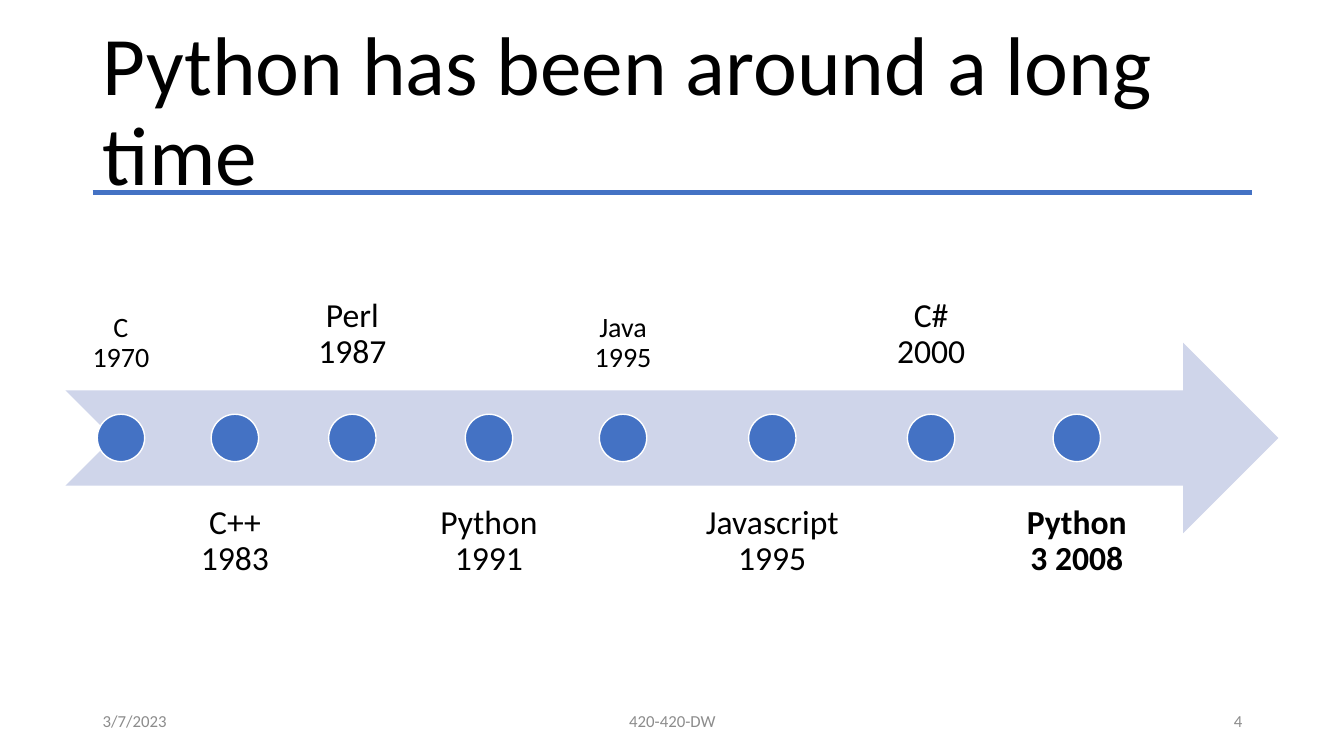
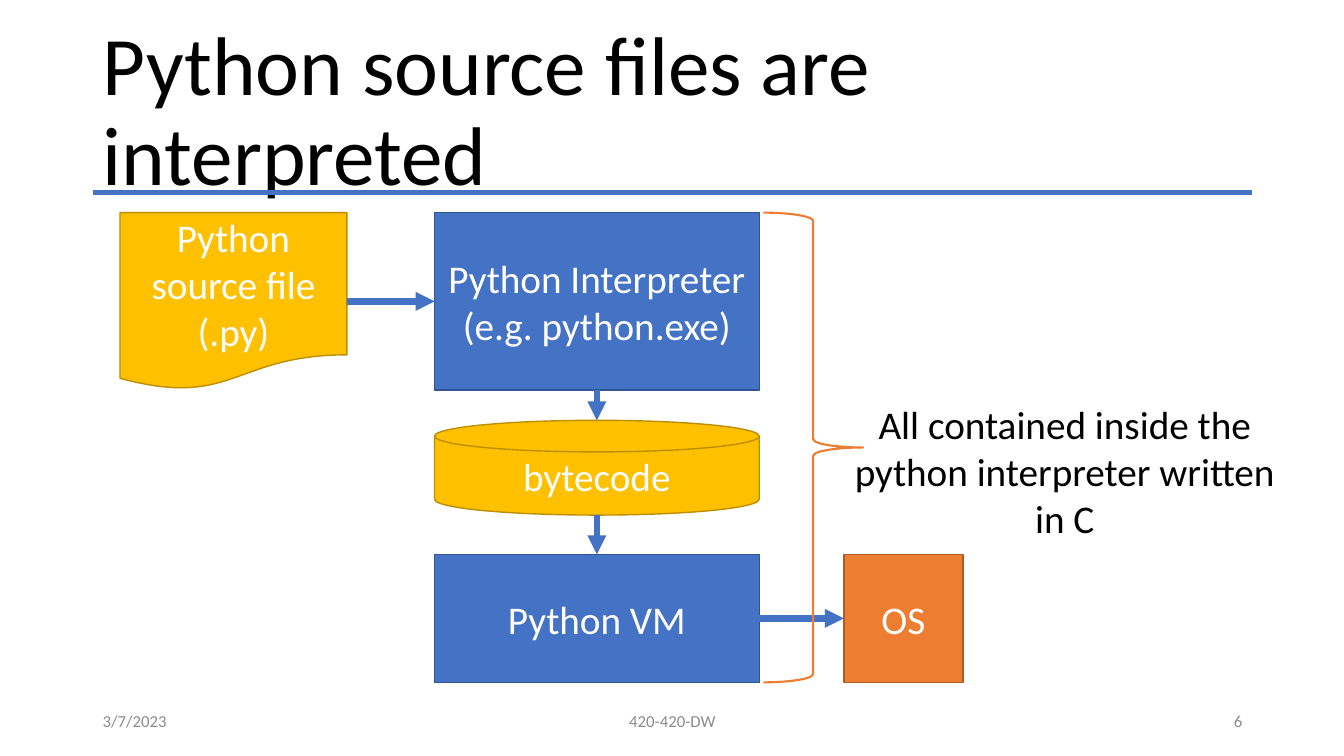
import dataclasses
import lxml.etree
import pptx
import pptx.dml.color
import pptx.enum.shapes
import pptx.enum.text
import pptx.oxml.ns
import pptx.util

Inches = pptx.util.Inches
Pt = pptx.util.Pt
Form = pptx.enum.shapes.MSO_SHAPE
Align = pptx.enum.text.PP_ALIGN
Anchor = pptx.enum.text.MSO_ANCHOR
qn = pptx.oxml.ns.qn

TOP, LEFT, BOTTOM, RIGHT = range(4)


@dataclasses.dataclass(frozen=True)
class Theme:
    font: str = "Calibri"
    black: str = "000000"
    white: str = "FFFFFF"
    gray: str = "8C8C8C"
    blue: str = "4472C4"
    navy: str = "325491"
    pale: str = "CFD5EA"
    gold: str = "FFC000"
    ochre: str = "BD8E00"
    orange: str = "ED7D31"
    rust: str = "AF5C24"
    title: float = 59.4
    body: float = 28
    label: float = 24
    small: float = 20
    foot: float = 12


def paint(text):
    return pptx.dml.color.RGBColor.from_string(text)


class Deck:
    def __init__(self, theme):
        self.theme = theme
        self.file = pptx.Presentation()
        self.file.slide_width = Inches(13.33)
        self.file.slide_height = Inches(7.5)
        self.slide = None

    def start(self, title, page):
        theme = self.theme
        self.slide = self.file.slides.add_slide(self.file.slide_layouts[5])
        self.line((0.92, 1.91), (12.42, 1.91), 3)
        head = self.slide.shapes.title
        head.left, head.top, head.width, head.height = map(Inches, (0.92, 0.4, 11.5, 1.45))
        self.letter(head, title, theme.title, theme.black, Align.LEFT, Anchor.MIDDLE, space=0.9)
        for text, left, width, align in (
            ("3/7/2023", 0.92, 3, Align.LEFT),
            ("420-420-DW", 4.42, 4.5, Align.CENTER),
            (page, 9.42, 3, Align.RIGHT),
        ):
            self.text(text, (left, 6.95, width, 0.4), theme.foot, theme.gray, align, Anchor.MIDDLE)

    def letter(self, shape, text, size, color, align=Align.CENTER,
               anchor=Anchor.TOP, space=None, inset=None, bold=False):
        frame = shape.text_frame
        frame.auto_size = pptx.enum.text.MSO_AUTO_SIZE.NONE
        frame.word_wrap = True
        frame.vertical_anchor = anchor
        if inset is not None:
            frame.margin_left = frame.margin_right = Inches(inset)
            frame.margin_top = frame.margin_bottom = Inches(inset)
        para = frame.paragraphs[0]
        para.alignment = align
        para.line_spacing = space
        for row, part in enumerate(text.split("\n")):
            if row:
                para.add_line_break()
            run = para.add_run()
            run.text = part
            run.font.name = self.theme.font
            run.font.size = Pt(size)
            run.font.bold = bold
            run.font.color.rgb = paint(color)

    def text(self, text, box, size, color, *style, **more):
        shape = self.slide.shapes.add_textbox(*map(Inches, box))
        self.letter(shape, text, size, color, *style, **more)

    def shape(self, form, box, fill=None, edge=None, weight=1, text=None):
        shape = self.slide.shapes.add_shape(form, *map(Inches, box))
        shape.shadow.inherit = False
        if fill:
            shape.fill.solid()
            shape.fill.fore_color.rgb = paint(fill)
        else:
            shape.fill.background()
        if edge:
            shape.line.color.rgb = paint(edge)
            shape.line.width = Pt(weight)
        else:
            shape.line.fill.background()
        if text:
            self.letter(shape, text, self.theme.body, self.theme.white, anchor=Anchor.MIDDLE)
        return shape

    def line(self, start, end, weight):
        line = self.slide.shapes.add_connector(
            pptx.enum.shapes.MSO_CONNECTOR.STRAIGHT, *map(Inches, start + end))
        line.line.color.rgb = paint(self.theme.blue)
        line.line.width = Pt(weight)
        lxml.etree.SubElement(line.element.spPr, qn("a:effectLst"))
        return line

    def arrow(self, start, end, tail=None, head=None):
        line = self.line(start, end, 4.5)
        tip = lxml.etree.SubElement(line.element.spPr.find(qn("a:ln")), qn("a:tailEnd"))
        tip.set("type", "triangle")
        if tail:
            line.begin_connect(*tail)
        if head:
            line.end_connect(*head)


def history(deck):
    theme = deck.theme
    deck.start("Python has been around a long time", "4")
    deck.shape(Form.NOTCHED_RIGHT_ARROW, (0.65, 3.4, 12.03, 1.89), theme.pale)
    events = (
        ("C 1970", 1.06, theme.small),
        ("C++ 1983", 1.12, theme.label),
        ("Perl 1987", 1.13, theme.label),
        ("Python 1991", 1.5, theme.label),
        ("Java 1995", 1.08, theme.small),
        ("Javascript 1995", 1.8, theme.label),
        ("C# 2000", 1.27, theme.label),
        ("Python 3 2008", 1.54, theme.label),
    )
    left, gap, dot = 0.67, 0.04, 0.47
    for place, (text, width, size) in enumerate(events):
        top, anchor = ((1.98, Anchor.BOTTOM), (4.82, Anchor.TOP))[place % 2]
        deck.text(text, (left, top, width, 1.89), size, theme.black, anchor=anchor,
                  space=0.9, inset=size / 125, bold=place == len(events) - 1)
        deck.shape(Form.OVAL, (left + (width - dot) / 2, 4.11, dot, dot), theme.blue, theme.white)
        left += width + gap


def process(deck):
    theme = deck.theme
    deck.start("Python source files are interpreted", "6")
    gold = theme.gold, theme.ochre
    blue = theme.blue, theme.navy
    left, width, top = 4.31, 3.22, 2.11
    mid = left + width / 2
    source = deck.shape(Form.FLOWCHART_DOCUMENT, (1.19, top, 2.25, 1.76), *gold,
                        text="Python source file (.py)")
    reader = deck.shape(Form.FLOWCHART_PROCESS, (left, top, width, 1.76), *blue,
                        text="Python Interpreter\n(e.g. python.exe)")
    deck.shape(Form.FLOWCHART_MAGNETIC_DISK, (left, 4.17, width, 0.94), *gold, text="bytecode")
    engine = deck.shape(Form.FLOWCHART_PROCESS, (left, 5.5, width, 1.27), *blue, text="Python VM")
    system = deck.shape(Form.FLOWCHART_PROCESS, (8.37, 5.5, 1.18, 1.27),
                        theme.orange, theme.rust, text="OS")
    deck.arrow((3.44, 2.99), (left, 2.99), (source, RIGHT), (reader, LEFT))
    deck.arrow((mid, 3.87), (mid, 4.17), tail=(reader, BOTTOM))
    deck.arrow((mid, 5.11), (mid, 5.5), head=(engine, TOP))
    deck.arrow((left + width, 6.13), (8.37, 6.13), (engine, RIGHT), (system, LEFT))
    deck.shape(Form.RIGHT_BRACE, (7.57, top, 0.99, 4.66), edge=theme.orange, weight=1.5)
    deck.text("All contained inside the python interpreter written in C",
              (8.37, 3.92, 4.38, 1.51), theme.body, theme.black)


def main():
    deck = Deck(Theme())
    history(deck)
    process(deck)
    deck.file.save("out.pptx")


if __name__ == "__main__":
    main()
